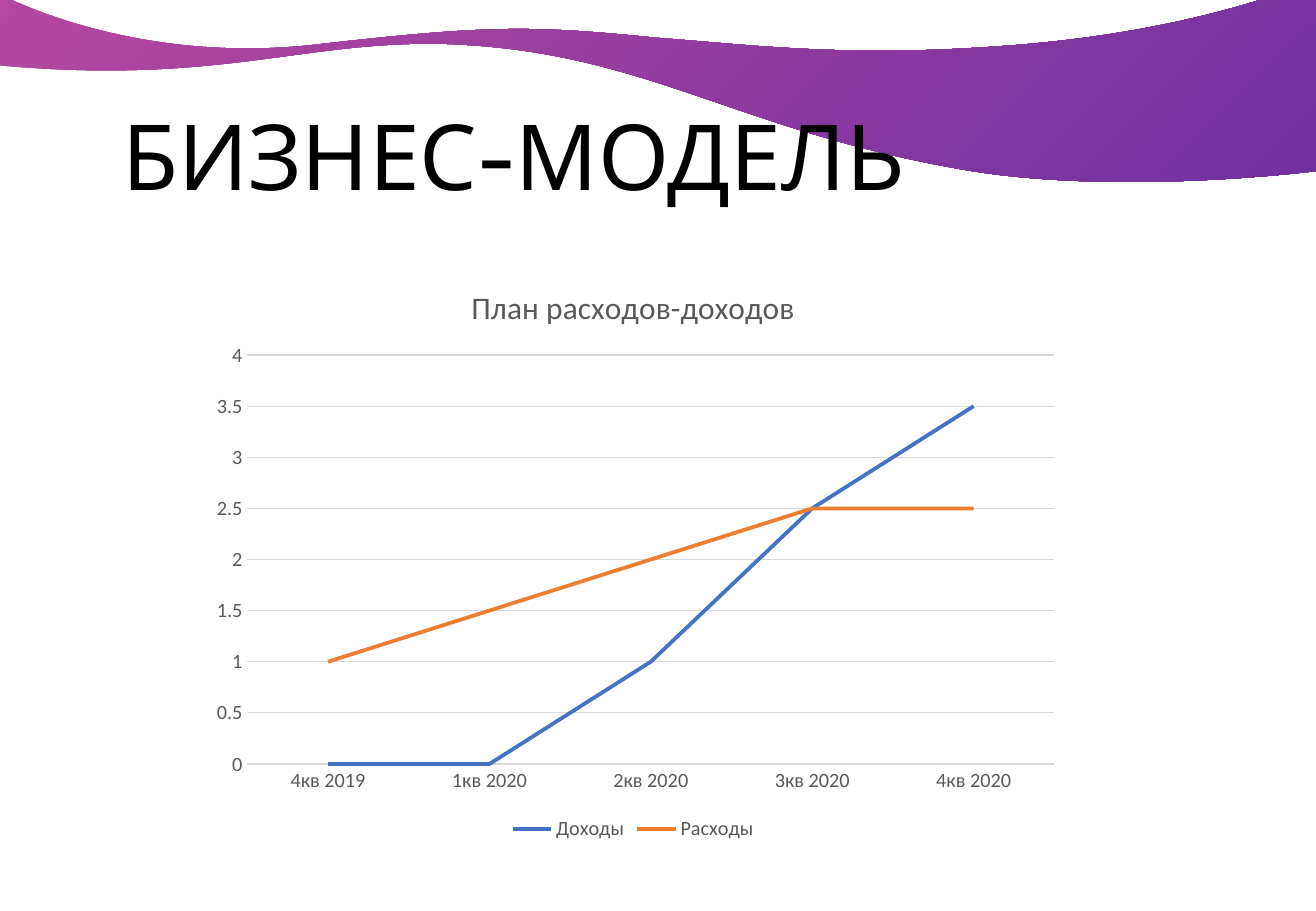
from collections import namedtuple

from lxml import etree
from pptx import Presentation
from pptx import util as u
from pptx.chart.data import CategoryChartData
from pptx.dml.color import RGBColor
from pptx.enum import chart as c
from pptx.enum import text as t
from pptx.oxml.ns import qn

Box = namedtuple("Box", "left top width height")

WIDTH, HEIGHT = 27.51, 19.05
RIBBON_BOX = Box(0, -0.43, WIDTH, 4.55)
TITLE_BOX = Box(2.3, 1.96, 20.12, 2.57)
CHART_BOX = Box(4.07, 5.47, 18.34, 12.22)
# Share of the chart that the plot takes.
PLOT_LAYOUT = {"x": 0.06, "y": 0.16, "w": 0.92, "h": 0.7}

# Ribbon outline in cm from the corner of its box: a start, then three points per curve.
RIBBON_OUTLINE = [
    (0, 1.8),
    (4.6, 2.21), (6.35, 1.27), (9.32, 1.35),
    (13.56, 1.5), (15.34, 3.18), (20.32, 4.01),
    (23.52, 4.52), (27.51, 4.01), (27.51, 4.01),
    (27.51, 0), (27.51, 0), (27.51, 0),
    (27.51, 0), (25.1, 1.12), (20.85, 1.4),
    (17.65, 1.63), (15.72, 1.37), (13.72, 1.22),
    (11.2, 0.97), (10.31, 0.94), (6.71, 1.35),
    (2.77, 1.83), (0, 0.3), (0, 0.3),
]

QUARTERS = ["4кв 2019", "1кв 2020", "2кв 2020", "3кв 2020", "4кв 2020"]
SERIES = [
    ("Доходы", [0, 0, 1, 2.5, 3.5], "4472C4"),
    ("Расходы", [1, 1.5, 2, 2.5, 2.5], "ED7D31"),
]
GREY, GRID = "595959", "D9D9D9"


def color(value):
    return RGBColor.from_string(value)


def format_font(font, name="Calibri", size=12, fill=GREY):
    font.name = name
    font.size = u.Pt(size)
    font.bold = False
    font.color.rgb = color(fill)


def write_text(frame, content, **font_format):
    paragraph = frame.paragraphs[0]
    run = paragraph.add_run()
    run.text = content
    format_font(run.font, **font_format)
    return paragraph


def format_line(line, fill, width):
    line.color.rgb = color(fill)
    line.width = u.Pt(width)


def bend_segments(shape):
    """Turn every three straight segments of a freeform into one Bézier curve."""
    segments = list(shape.element.iter(qn("a:lnTo")))
    for start in range(0, len(segments), 3):
        curve = etree.Element(qn("a:cubicBezTo"))
        segments[start].addprevious(curve)
        for segment in segments[start:start + 3]:
            curve.append(segment[0])
            segment.getparent().remove(segment)


def add_ribbon(slide, box):
    points = [(u.Cm(box.left + x), u.Cm(box.top + y)) for x, y in RIBBON_OUTLINE]
    builder = slide.shapes.build_freeform(*points[0])
    builder.add_line_segments(points[1:], close=True)
    ribbon = builder.convert_to_shape()
    bend_segments(ribbon)
    ribbon.shadow.inherit = False
    ribbon.line.fill.background()
    ribbon.fill.gradient()
    ribbon.fill.gradient_angle = 315
    for stop, fill in zip(ribbon.fill.gradient_stops, ("B548A0", "7030A0")):
        stop.color.rgb = color(fill)
    # The ribbon lies behind the title.
    slide.shapes.title.element.addprevious(ribbon.element)


def add_title(slide, box):
    title = slide.shapes.title
    title.left, title.top, title.width, title.height = map(u.Cm, box)
    frame = title.text_frame
    frame.word_wrap = True
    frame.auto_size = t.MSO_AUTO_SIZE.NONE
    frame.vertical_anchor = t.MSO_ANCHOR.TOP
    paragraph = write_text(frame, "БИЗНЕС-МОДЕЛЬ", name="Cabin", size=54, fill="000000")
    paragraph.alignment = t.PP_ALIGN.LEFT


def place_plot(chart):
    area = next(chart.element.iter(qn("c:plotArea")))
    for layout in area.findall(qn("c:layout")):
        area.remove(layout)
    layout = etree.Element(qn("c:layout"))
    area.insert(0, layout)
    manual = etree.SubElement(layout, qn("c:manualLayout"))
    settings = {"layoutTarget": "inner", "xMode": "edge", "yMode": "edge", **PLOT_LAYOUT}
    for name, value in settings.items():
        etree.SubElement(manual, qn(f"c:{name}"), val=str(value))


def format_axes(chart):
    for axis in (chart.category_axis, chart.value_axis):
        axis.major_tick_mark = axis.minor_tick_mark = c.XL_TICK_MARK.NONE
        format_font(axis.tick_labels.font)
    format_line(chart.category_axis.format.line, GRID, 0.75)
    values = chart.value_axis
    values.minimum_scale, values.maximum_scale, values.major_unit = 0, 4, 0.5
    values.format.line.fill.background()
    format_line(values.major_gridlines.format.line, GRID, 0.75)


def add_plan_chart(slide, box):
    data = CategoryChartData()
    data.categories = QUARTERS
    for name, values, _ in SERIES:
        data.add_series(name, values)
    chart = slide.shapes.add_chart(c.XL_CHART_TYPE.LINE, *map(u.Cm, box), data).chart
    format_font(chart.font, size=10, fill="000000")

    chart.has_title = True
    write_text(chart.chart_title.text_frame, "План расходов-доходов", size=18.6)
    chart.chart_title.include_in_layout = False

    chart.has_legend = True
    chart.legend.position = c.XL_LEGEND_POSITION.BOTTOM
    chart.legend.include_in_layout = False
    format_font(chart.legend.font)

    place_plot(chart)
    format_axes(chart)
    plot = chart.plots[0]
    plot.vary_by_categories = False
    for series, (_, _, fill) in zip(plot.series, SERIES):
        series.smooth = False
        series.marker.style = c.XL_MARKER_STYLE.NONE
        format_line(series.format.line, fill, 2.25)


def main():
    presentation = Presentation()
    presentation.slide_width, presentation.slide_height = u.Cm(WIDTH), u.Cm(HEIGHT)
    title_only = presentation.slide_layouts.get_by_name("Title Only")
    slide = presentation.slides.add_slide(title_only)
    add_ribbon(slide, RIBBON_BOX)
    add_title(slide, TITLE_BOX)
    add_plan_chart(slide, CHART_BOX)
    presentation.save("out.pptx")


if __name__ == "__main__":
    main()
